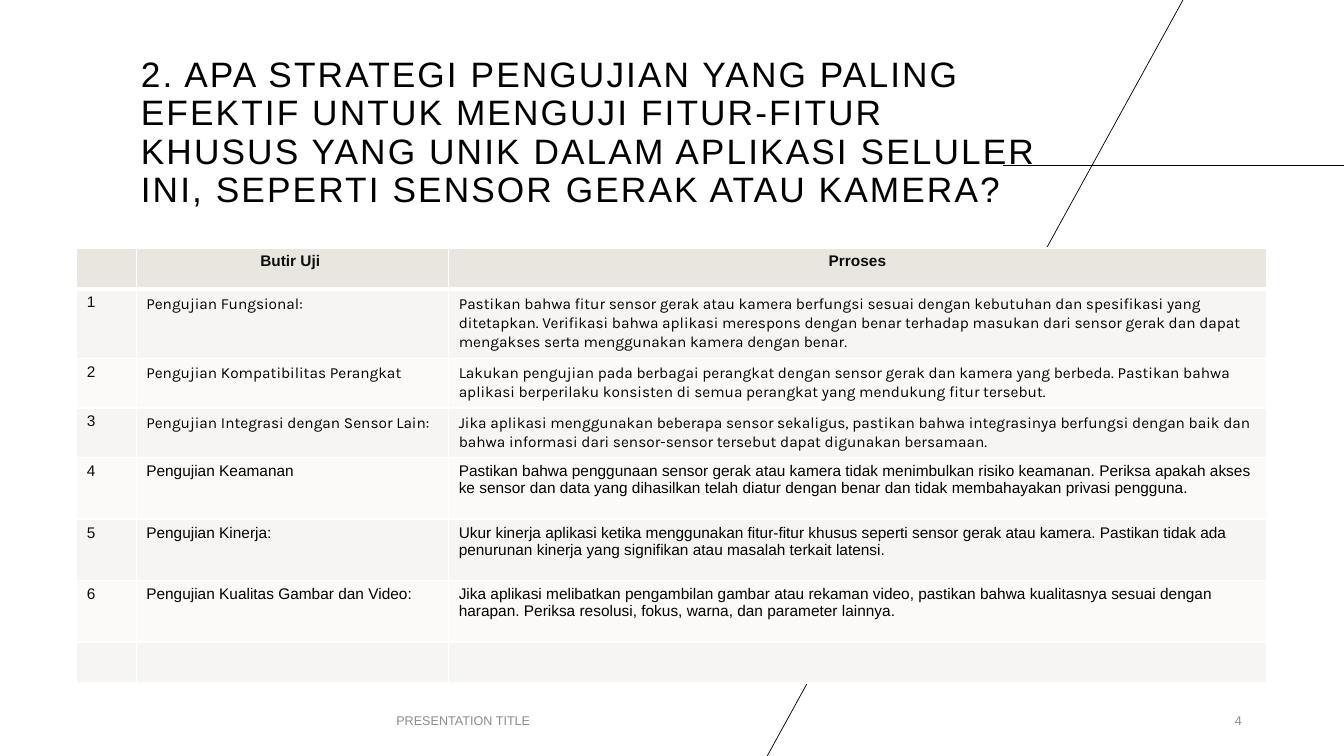
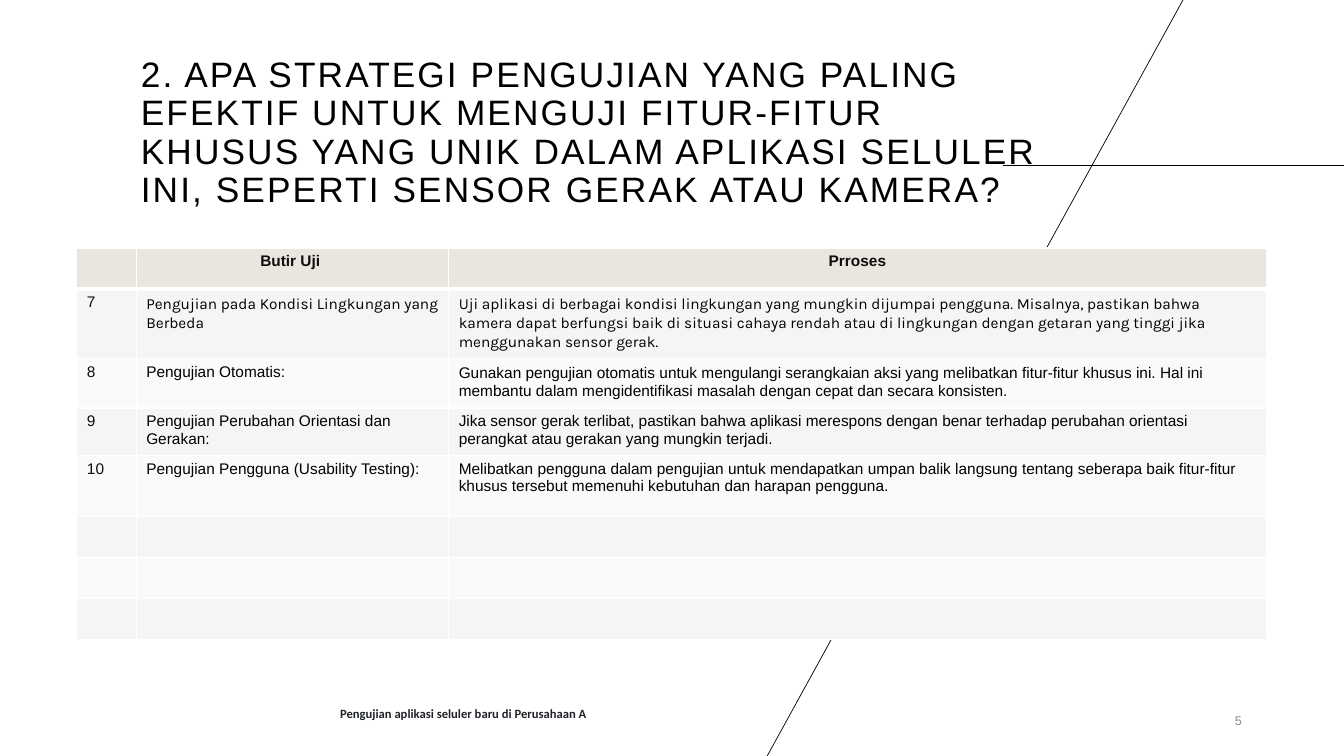
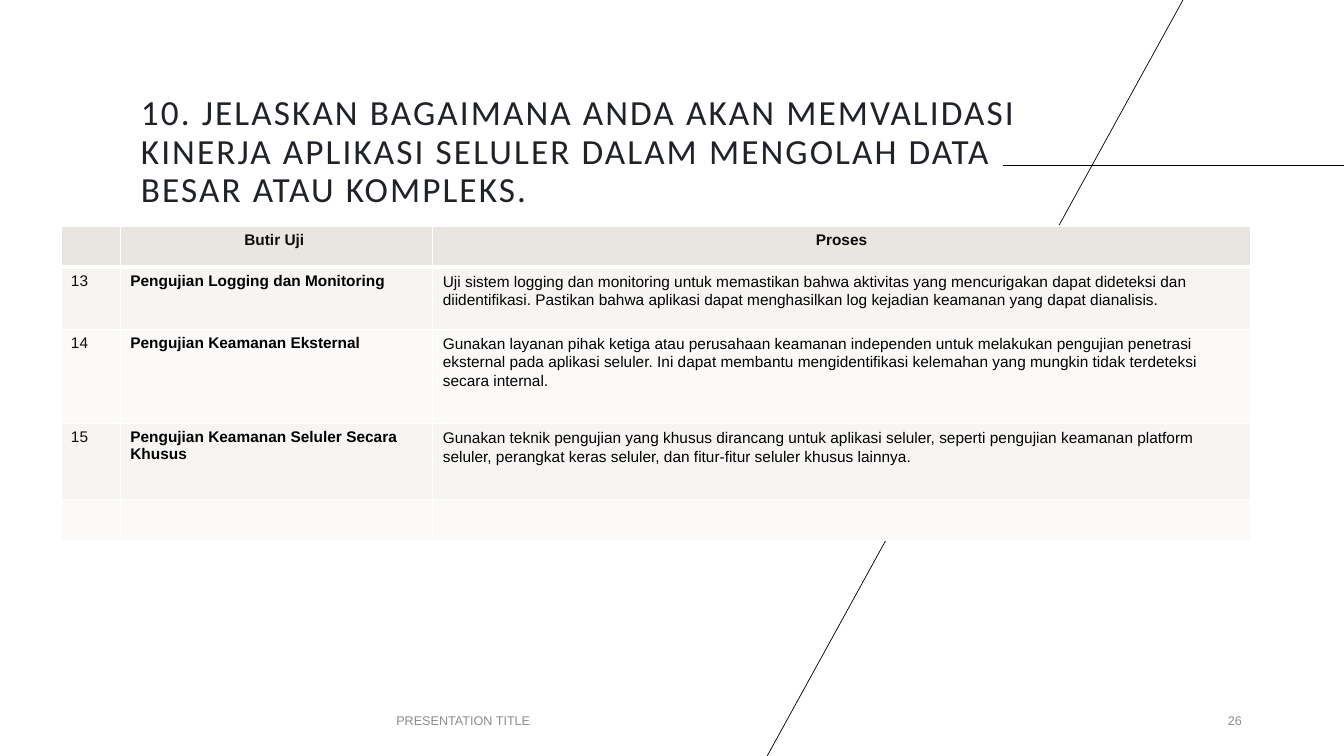
import dataclasses

import pptx
import pptx.dml.color
import pptx.enum.shapes
import pptx.enum.text
import pptx.oxml
import pptx.oxml.ns
import pptx.util

Pt = pptx.util.Pt
ALIGN = pptx.enum.text.PP_ALIGN
ANCHOR = pptx.enum.text.MSO_ANCHOR


@dataclasses.dataclass(frozen=True)
class Theme:
    black: str = "000000"
    ink: str = "0D0D0D"
    slate: str = "1F2328"
    grey: str = "8C8C8C"
    white: str = "FFFFFF"
    header_fill: str = "E9E6DF"
    band_fills: tuple = ("F7F5F3", "FBFAF9")
    sans: str = "Arial"
    alternate: str = "Calibri"
    rounded: str = "Karla"
    title_size: float = 25.2
    table_size: float = 11
    footer_size: float = 9
    tracking: float = 1.5


@dataclasses.dataclass(frozen=True)
class TextStyle:
    face: str
    size: float
    color: str
    bold: bool = False
    align: ALIGN = ALIGN.LEFT
    line_spacing: float = None
    space_after: float = None


THEME = Theme()
TITLE = TextStyle(THEME.sans, THEME.title_size, THEME.black, line_spacing=0.9)
SLATE_TITLE = dataclasses.replace(TITLE, face=THEME.alternate, color=THEME.slate)
FOOTER = TextStyle(THEME.sans, THEME.footer_size, THEME.grey, align=ALIGN.CENTER)
BOLD_FOOTER = dataclasses.replace(
    FOOTER, face=THEME.alternate, color=THEME.slate, bold=True)
PAGE_NUMBER = dataclasses.replace(FOOTER, align=ALIGN.RIGHT)
NUMBER = TextStyle(THEME.sans, THEME.table_size, THEME.ink)
HEADER = dataclasses.replace(NUMBER, bold=True, align=ALIGN.CENTER)
PLAIN = dataclasses.replace(NUMBER, color=THEME.black)
BOLD = dataclasses.replace(PLAIN, bold=True)
SPACED = dataclasses.replace(PLAIN, line_spacing=1.07, space_after=8)
KARLA = dataclasses.replace(SPACED, face=THEME.rounded)

COLUMN_WIDTHS = (42.4, 223.2, 584)
EMPTY_HEIGHT = 29.3
EMPTY_ROW = (EMPTY_HEIGHT, "", "", "", PLAIN, PLAIN)


class Deck:
    def __init__(self):
        self.presentation = pptx.Presentation()
        self.presentation.slide_width = Pt(960)
        self.presentation.slide_height = Pt(540)
        self.slide = None

    def start_slide(self):
        blank = self.presentation.slide_layouts[6]
        self.slide = self.presentation.slides.add_slide(blank)
        self.line(716.4, 118, 960, 118)
        self.line(845, 0, 548, 540)

    def line(self, x1, y1, x2, y2):
        connector = self.slide.shapes.add_connector(
            pptx.enum.shapes.MSO_CONNECTOR.STRAIGHT, Pt(x1), Pt(y1), Pt(x2), Pt(y2))
        connector.line.width = Pt(0.5)
        connector.line.color.rgb = self.rgb(THEME.black)
        connector._element.spPr.append(pptx.oxml.parse_xml(
            f'<a:effectLst {pptx.oxml.ns.nsdecls("a")}/>'))

    @staticmethod
    def rgb(color):
        return pptx.dml.color.RGBColor.from_string(color)

    def fill_paragraph(self, paragraph, text, style):
        paragraph.text = text
        paragraph.alignment = style.align
        if style.line_spacing:
            paragraph.line_spacing = style.line_spacing
        if style.space_after:
            paragraph.space_after = Pt(style.space_after)
        font = paragraph.font
        font.name = style.face
        font.size = Pt(style.size)
        font.bold = style.bold
        font.color.rgb = self.rgb(style.color)

    def text(self, box, text, style, anchor):
        frame = self.slide.shapes.add_textbox(*map(Pt, box)).text_frame
        frame.word_wrap = True
        frame.vertical_anchor = anchor
        self.fill_paragraph(frame.paragraphs[0], text, style)
        return frame

    def title(self, text, style):
        frame = self.text((93.6, 58.4, 660.2, 95), text, style, ANCHOR.BOTTOM)
        letters = frame.paragraphs[0].runs[0]._r.get_or_add_rPr()
        letters.set("spc", str(int(THEME.tracking * 100)))

    def footer(self, text, style, page, lift):
        """Lift is the extra bottom inset that raises the centred footer."""
        frame = self.text((193.7, 500.4, 274.3, 28.8), text, style, ANCHOR.MIDDLE)
        frame.margin_bottom = Pt(3.6 + lift)
        self.text((678.2, 500.4, 216, 28.8), page, PAGE_NUMBER, ANCHOR.MIDDLE)

    def borders(self, cell, top, bottom):
        properties = cell._tc.get_or_add_tcPr()
        widths = {"lnL": 1, "lnR": 1, "lnT": top, "lnB": bottom}
        for position, (edge, width) in enumerate(widths.items()):
            properties.insert(position, pptx.oxml.parse_xml(
                f'<a:{edge} {pptx.oxml.ns.nsdecls("a")} w="{Pt(width)}">'
                f'<a:solidFill><a:srgbClr val="{THEME.white}"/></a:solidFill>'
                f'</a:{edge}>'))

    def test_table(self, left, top, process_heading, tests):
        rows = [(EMPTY_HEIGHT, "", "Butir Uji ", process_heading, HEADER, HEADER),
                *tests]
        table = self.slide.shapes.add_table(
            len(rows), len(COLUMN_WIDTHS), Pt(left), Pt(top),
            Pt(sum(COLUMN_WIDTHS)), Pt(sum(row[0] for row in rows))).table
        table.horz_banding = False
        for column, width in zip(table.columns, COLUMN_WIDTHS):
            column.width = Pt(width)
        for index, (height, *texts, item_style, process_style) in enumerate(rows):
            table.rows[index].height = Pt(height)
            fill = THEME.band_fills[(index - 1) % 2] if index else THEME.header_fill
            styles = (NUMBER, item_style, process_style)
            for column, (text, style) in enumerate(zip(texts, styles)):
                cell = table.cell(index, column)
                cell.fill.solid()
                cell.fill.fore_color.rgb = self.rgb(fill)
                self.borders(cell, 3 if index == 1 else 1, 1 if index else 3)
                if text:
                    self.fill_paragraph(cell.text_frame.paragraphs[0], text, style)


STRATEGY_TITLE = (
    "2. APA STRATEGI PENGUJIAN YANG PALING EFEKTIF UNTUK MENGUJI FITUR-FITUR "
    "KHUSUS YANG UNIK DALAM APLIKASI SELULER INI, SEPERTI SENSOR GERAK ATAU KAMERA?")

FEATURE_TESTS = [
    (48.3, "1", "Pengujian Fungsional:",
     "Pastikan bahwa fitur sensor gerak atau kamera berfungsi sesuai dengan "
     "kebutuhan dan spesifikasi yang ditetapkan. Verifikasi bahwa aplikasi "
     "merespons dengan benar terhadap masukan dari sensor gerak dan dapat "
     "mengakses serta menggunakan kamera dengan benar.", KARLA, KARLA),
    (34.6, "2", "Pengujian Kompatibilitas Perangkat",
     "Lakukan pengujian pada berbagai perangkat dengan sensor gerak dan kamera "
     "yang berbeda. Pastikan bahwa aplikasi berperilaku konsisten di semua "
     "perangkat yang mendukung fitur tersebut.", KARLA, KARLA),
    (34.6, "3", "Pengujian Integrasi dengan Sensor Lain:",
     "Jika aplikasi menggunakan beberapa sensor sekaligus, pastikan bahwa "
     "integrasinya berfungsi dengan baik dan bahwa informasi dari sensor-sensor "
     "tersebut dapat digunakan bersamaan.", KARLA, KARLA),
    (43.9, "4", "Pengujian Keamanan",
     "Pastikan bahwa penggunaan sensor gerak atau kamera tidak menimbulkan risiko "
     "keamanan. Periksa apakah akses ke sensor dan data yang dihasilkan telah "
     "diatur dengan benar dan tidak membahayakan privasi pengguna.", PLAIN, PLAIN),
    (43.9, "5", "Pengujian Kinerja:",
     "Ukur kinerja aplikasi ketika menggunakan fitur-fitur khusus seperti sensor "
     "gerak atau kamera. Pastikan tidak ada penurunan kinerja yang signifikan atau "
     "masalah terkait latensi.", PLAIN, PLAIN),
    (43.9, "6", "Pengujian Kualitas Gambar dan Video:",
     "Jika aplikasi melibatkan pengambilan gambar atau rekaman video, pastikan "
     "bahwa kualitasnya sesuai dengan harapan. Periksa resolusi, fokus, warna, dan "
     "parameter lainnya.", PLAIN, PLAIN),
    EMPTY_ROW,
]

USAGE_TESTS = [
    (48.3, "7", "Pengujian pada Kondisi Lingkungan yang Berbeda",
     "Uji aplikasi di berbagai kondisi lingkungan yang mungkin dijumpai pengguna. "
     "Misalnya, pastikan bahwa kamera dapat berfungsi baik di situasi cahaya rendah "
     "atau di lingkungan dengan getaran yang tinggi jika menggunakan sensor gerak.",
     KARLA, KARLA),
    (33.4, "8", "Pengujian Otomatis:",
     "Gunakan pengujian otomatis untuk mengulangi serangkaian aksi yang melibatkan "
     "fitur-fitur khusus ini. Hal ini membantu dalam mengidentifikasi masalah "
     "dengan cepat dan secara konsisten.", PLAIN, SPACED),
    (31.4, "9", "Pengujian Perubahan Orientasi dan Gerakan:",
     "Jika sensor gerak terlibat, pastikan bahwa aplikasi merespons dengan benar "
     "terhadap perubahan orientasi perangkat atau gerakan yang mungkin terjadi.",
     PLAIN, PLAIN),
    (43.9, "10", "Pengujian Pengguna (Usability Testing):",
     "Melibatkan pengguna dalam pengujian untuk mendapatkan umpan balik langsung "
     "tentang seberapa baik fitur-fitur khusus tersebut memenuhi kebutuhan dan "
     "harapan pengguna.", PLAIN, PLAIN),
    *[EMPTY_ROW] * 3,
]

SECURITY_TESTS = [
    (44.4, "13", "Pengujian Logging dan Monitoring",
     "Uji sistem logging dan monitoring untuk memastikan bahwa aktivitas yang "
     "mencurigakan dapat dideteksi dan diidentifikasi. Pastikan bahwa aplikasi "
     "dapat menghasilkan log kejadian keamanan yang dapat dianalisis.", BOLD, SPACED),
    (67.6, "14", "Pengujian Keamanan Eksternal",
     "Gunakan layanan pihak ketiga atau perusahaan keamanan independen untuk "
     "melakukan pengujian penetrasi eksternal pada aplikasi seluler. Ini dapat "
     "membantu mengidentifikasi kelemahan yang mungkin tidak terdeteksi secara "
     "internal.", BOLD, SPACED),
    (54.3, "15", "Pengujian Keamanan Seluler Secara Khusus",
     "Gunakan teknik pengujian yang khusus dirancang untuk aplikasi seluler, "
     "seperti pengujian keamanan platform seluler, perangkat keras seluler, dan "
     "fitur-fitur seluler khusus lainnya.", BOLD, SPACED),
    EMPTY_ROW,
]

STANDARD_FOOTER = ("PRESENTATION TITLE", FOOTER)
COMPANY_FOOTER = ("Pengujian aplikasi seluler baru di Perusahaan A", BOLD_FOOTER)


def main():
    deck = Deck()

    deck.start_slide()
    deck.title(STRATEGY_TITLE, TITLE)
    deck.footer(*STANDARD_FOOTER, "4", lift=0)
    deck.test_table(54.9, 177.1, "Prroses", FEATURE_TESTS)

    deck.start_slide()
    deck.title(STRATEGY_TITLE, TITLE)
    deck.footer(*COMPANY_FOOTER, "5", lift=10.8)
    deck.test_table(54.9, 177.1, "Prroses", USAGE_TESTS)

    deck.start_slide()
    deck.title("10. JELASKAN BAGAIMANA ANDA AKAN MEMVALIDASI KINERJA APLIKASI SELULER "
               "DALAM MENGOLAH DATA BESAR ATAU KOMPLEKS.", SLATE_TITLE)
    deck.footer(*STANDARD_FOOTER, "26", lift=0)
    deck.test_table(43.5, 161.5, "Proses", SECURITY_TESTS)

    deck.presentation.save("out.pptx")


if __name__ == "__main__":
    main()
